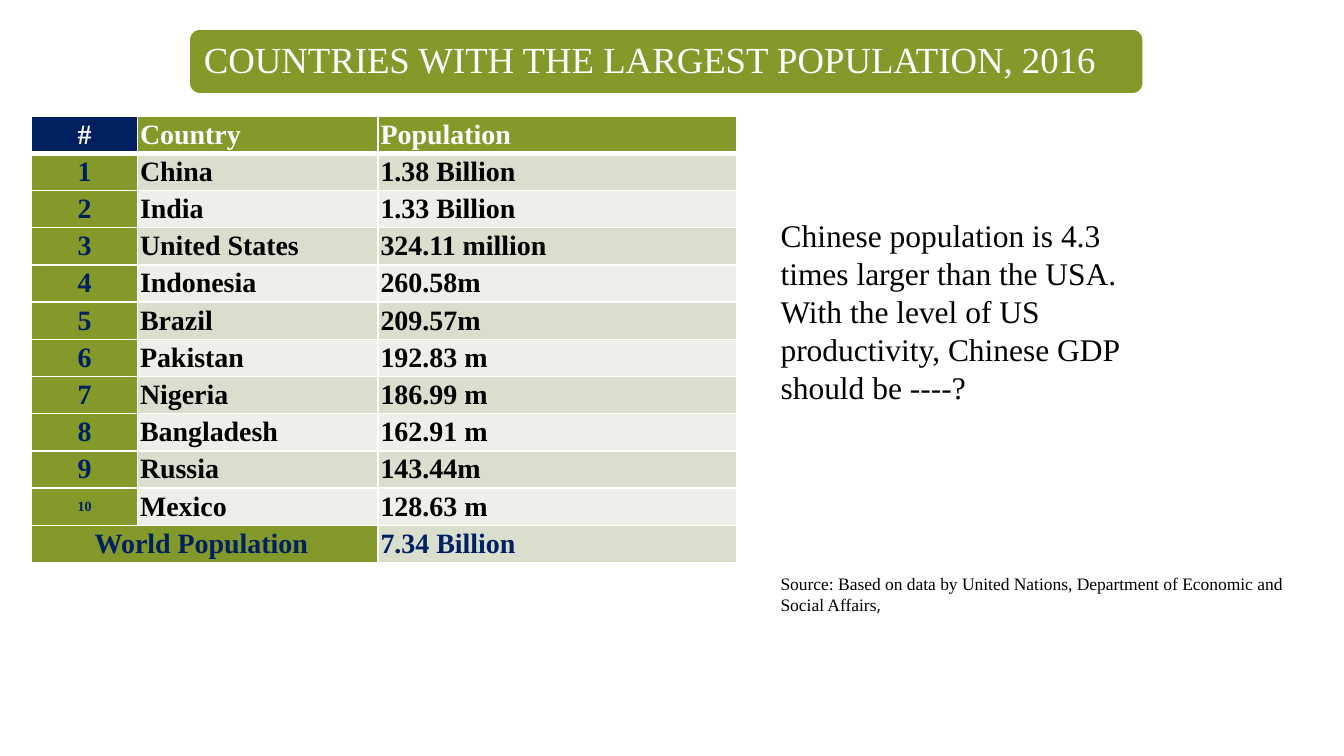
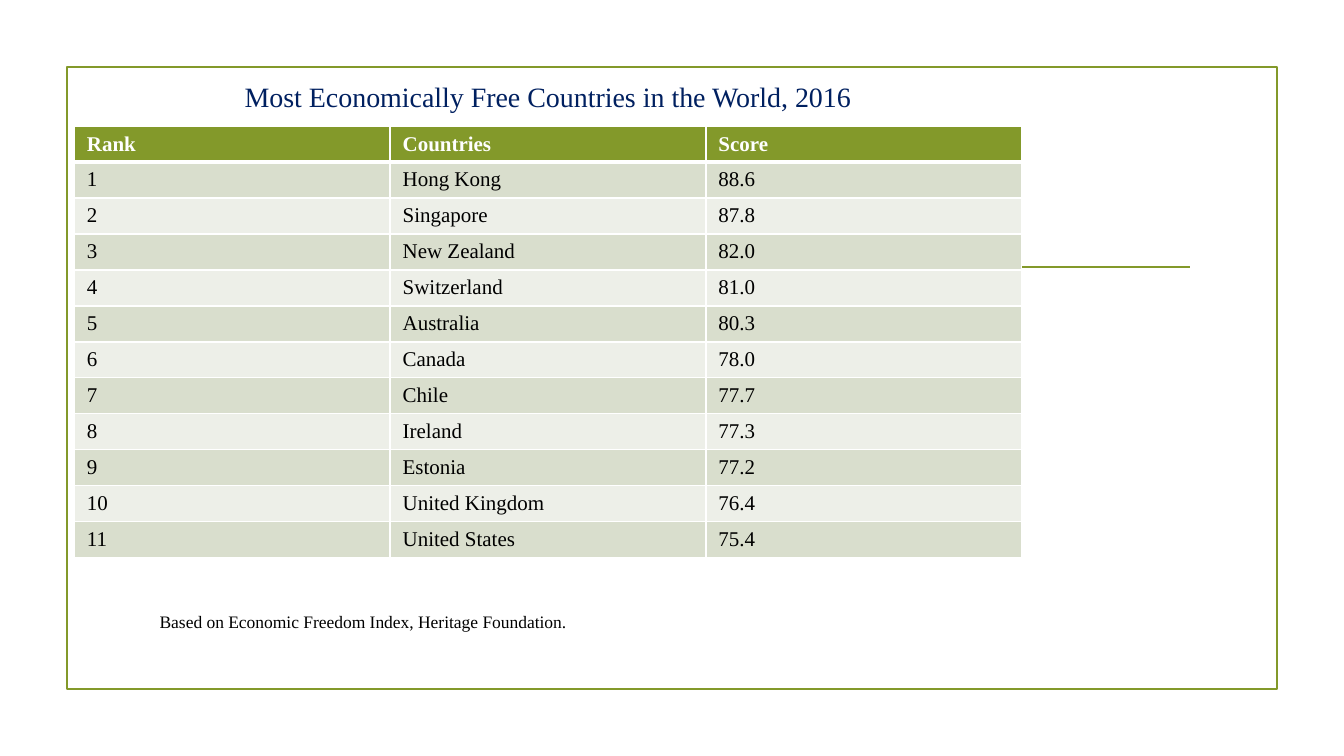
from dataclasses import dataclass

from lxml.etree import SubElement
from pptx import Presentation
from pptx.dml.color import RGBColor as RGB
from pptx.enum.shapes import MSO_CONNECTOR as Link, MSO_SHAPE as Shape
from pptx.enum.text import MSO_ANCHOR as Anchor, MSO_AUTO_SIZE as Fit, PP_ALIGN as Align
from pptx.oxml.ns import qn
from pptx.util import Cm, Pt


@dataclass(frozen=True)
class Theme:
    """Colours, fonts and type sizes shared by the slides."""
    green: str = "83992A"
    navy: str = "002060"
    white: str = "FFFFFF"
    black: str = "000000"
    grey: str = "222222"
    bands: tuple = ("EDEFE8", "D9DECD")
    font: str = "Times New Roman"
    alt_font: str = "Noto Sans"
    banner: int = 21
    comment: int = 18
    title: int = 16
    large_cell: int = 16
    cell: int = 12
    small_cell: int = 8
    note: int = 10
    line: float = 1.25


T = Theme()

POPULATION = [
    ("#", "Country", "Population"),
    ("1", "China", "1.38 Billion"),
    ("2", "India", "1.33 Billion"),
    ("3", "United States", "324.11 million"),
    ("4", "Indonesia", "260.58m"),
    ("5", "Brazil", "209.57m"),
    ("6", "Pakistan", "192.83 m"),
    ("7", "Nigeria", "186.99 m"),
    ("8", "Bangladesh", "162.91 m"),
    ("9", "Russia", "143.44m"),
    ("10", "Mexico", "128.63 m"),
    ("World Population ", "", "7.34 Billion"),
]

FREEDOM = [
    ("Rank", "Countries", "Score"),
    ("1", "Hong Kong", "88.6"),
    ("2", "Singapore", "87.8"),
    ("3", "New Zealand", "82.0"),
    ("4", "Switzerland", "81.0"),
    ("5", "Australia", "80.3"),
    ("6", "Canada", "78.0"),
    ("7", "Chile", "77.7"),
    ("8", "Ireland", "77.3"),
    ("9", "Estonia", "77.2"),
    ("10", "United Kingdom", "76.4"),
    ("11", "United States", "75.4"),
]


def rgb(color):
    """Turn a hex string into a colour."""
    return RGB.from_string(color)


def add_text(p, text, size=T.cell, color=T.black, font=T.font, bold=False, align=Align.LEFT):
    """Append a formatted run to a paragraph."""
    p.alignment = align
    r = p.add_run()
    r.text = text
    r.font.size, r.font.name, r.font.bold = Pt(size), font, bold
    r.font.color.rgb = rgb(color)


def text_box(slide, box, text, **fmt):
    """Add a wrapping text box and return its paragraph."""
    tf = slide.shapes.add_textbox(*map(Cm, box)).text_frame
    tf.word_wrap = True
    add_text(tf.paragraphs[0], text, **fmt)
    return tf.paragraphs[0]


def place_title(slide, box, text, **fmt):
    """Move the title placeholder into the box and fill it in."""
    sp = slide.shapes.title
    sp.left, sp.top, sp.width, sp.height = map(Cm, box)
    tf = sp.text_frame
    tf.word_wrap, tf.auto_size, tf.vertical_anchor = True, Fit.NONE, Anchor.MIDDLE
    add_text(tf.paragraphs[0], text, **fmt)
    return sp


def outline(slide, kind, box, line, fill=None):
    """Add a preset shape with a line and an optional fill."""
    sp = slide.shapes.add_shape(kind, *map(Cm, box))
    sp.shadow.inherit = False
    sp.line.color.rgb, sp.line.width = rgb(line), Pt(T.line)
    if fill:
        sp.fill.solid()
        sp.fill.fore_color.rgb = rgb(fill)
    else:
        sp.fill.background()


def banner(slide, box, text):
    """Draw the rounded band with the title on top of it."""
    x, y, w, h = box
    gap = 0.07
    outline(slide, Shape.ROUNDED_RECTANGLE, box, T.white, T.green)
    sp = place_title(slide, (x + gap, y + gap, w - 2 * gap, h - 2 * gap), text,
                     size=T.banner, color=T.white)
    tf = sp.text_frame
    tf.margin_left = tf.margin_right = tf.margin_top = tf.margin_bottom = Cm(0.23)
    tf.paragraphs[0].line_spacing = 0.9
    slide.shapes.element.append(sp.element)


def frame(slide, box):
    """Draw the page frame and its horizontal rule."""
    x, y, w, _ = box
    outline(slide, Shape.RECTANGLE, box, T.green)
    rule_y, inset = Cm(y + 4.04), 1.75
    rule = slide.shapes.add_connector(Link.STRAIGHT, Cm(x + inset), rule_y,
                                      Cm(x + w - inset), rule_y)
    rule.line.color.rgb, rule.line.width = rgb(T.green), Pt(T.line)
    SubElement(rule.element.spPr, qn("a:effectLst"))


def style_cell(cell, fill, top=1, bottom=1):
    """Give a cell white borders and a solid fill."""
    tc_pr = cell._tc.get_or_add_tcPr()
    for side, width in zip("LRTB", (1, 1, top, bottom)):
        ln = SubElement(tc_pr, qn(f"a:ln{side}"), w=str(Pt(width)))
        SubElement(SubElement(ln, qn("a:solidFill")), qn("a:srgbClr"), val=T.white)
    cell.fill.solid()
    cell.fill.fore_color.rgb = rgb(fill)


def data_table(slide, box, rows, shares, cell_format):
    """Add a banded table whose columns split the box by shares."""
    x, y, w, h = box
    table = slide.shapes.add_table(len(rows), len(shares), *map(Cm, box)).table
    for col, share in zip(table.columns, shares):
        col.width = Cm(w * share / sum(shares))
    for i, values in enumerate(rows):
        table.rows[i].height = Cm(h / len(rows))
        for j, value in enumerate(values):
            cell = table.cell(i, j)
            fill, fmt = cell_format(i, j)
            style_cell(cell, fill, top=3 if i == 1 else 1, bottom=1 if i else 3)
            if value:
                add_text(cell.text_frame.paragraphs[0], value, **fmt)
    return table


def population_format(i, j):
    """Choose fill and type for a cell of the population table."""
    last = len(POPULATION) - 1
    fmt = {"size": T.large_cell, "bold": True, "align": Align.LEFT if j else Align.CENTER}
    if i == 0:
        return (T.green if j else T.navy), {**fmt, "color": T.white}
    if j == 0 and i == last - 1:
        fmt["size"] = T.small_cell
    fmt["color"] = T.navy if j == 0 or i == last else T.black
    return (T.bands[i % 2] if j else T.green), fmt


def freedom_format(i, j):
    """Choose fill and type for a cell of the freedom table."""
    if i == 0:
        return T.green, {"color": T.white, "bold": True}
    return T.bands[i % 2], {}


def population_table(slide, box):
    """Add the population table with its merged total row."""
    table = data_table(slide, box, POPULATION, (0.84, 1.91, 2.85), population_format)
    for cell in table.iter_cells():
        cell.vertical_anchor = Anchor.MIDDLE
        cell.margin_left = cell.margin_right = Cm(0.05)
        cell.margin_top = cell.margin_bottom = Cm(0.05)
    last = len(POPULATION) - 1
    table.cell(last, 0).merge(table.cell(last, 1))


def population_slide(slide, box):
    """Build the slide on the largest populations."""
    x, y, _, _ = box
    side = x + 15.49
    banner(slide, (x + 3.81, y + 0.58, 19.25, 1.32),
           "COUNTRIES WITH THE LARGEST POPULATION, 2016")
    population_table(slide, (x + 0.64, y + 2.34, 14.22, 9))
    text_box(slide, (side, y + 4.24, 8.41, 4.24),
             "Chinese population is 4.3 times larger than the USA.  With the level of US "
             "productivity, Chinese GDP should be ----?", size=T.comment)
    p = text_box(slide, (side, y + 11.43, 10.95, 1.12),
                 "Source: Based on data by United Nations, Department of Economic and "
                 "Social Affairs", size=T.note)
    add_text(p, ",", size=T.note, color=T.grey, font=T.alt_font)


def freedom_slide(slide, box):
    """Build the framed slide on economic freedom."""
    x, y, w, h = box
    left, width, margin = x + 1.5, 19.1, 1.35
    frame(slide, (x + margin, y + margin, w - 2 * margin, h - 2 * margin))
    place_title(slide, (left, y + margin, width, 1.19),
                "Most Economically Free Countries in the World, 2016",
                size=T.title, color=T.navy, align=Align.CENTER)
    data_table(slide, (left, y + 2.54, width, 8.68), FREEDOM, (1, 1, 1), freedom_format)
    text_box(slide, (x + 2.97, y + 12.19, 18.44, 0.69),
             "Based on Economic Freedom Index, Heritage Foundation.", size=T.note)


def main():
    """Build and save the presentation."""
    prs = Presentation()
    width, height = 27.1, 15.24
    prs.slide_width, prs.slide_height = Cm(width), Cm(height)
    title_only = prs.slide_layouts[5]
    for build in (population_slide, freedom_slide):
        build(prs.slides.add_slide(title_only), (0, 0, width, height))
    prs.save("out.pptx")


if __name__ == "__main__":
    main()
